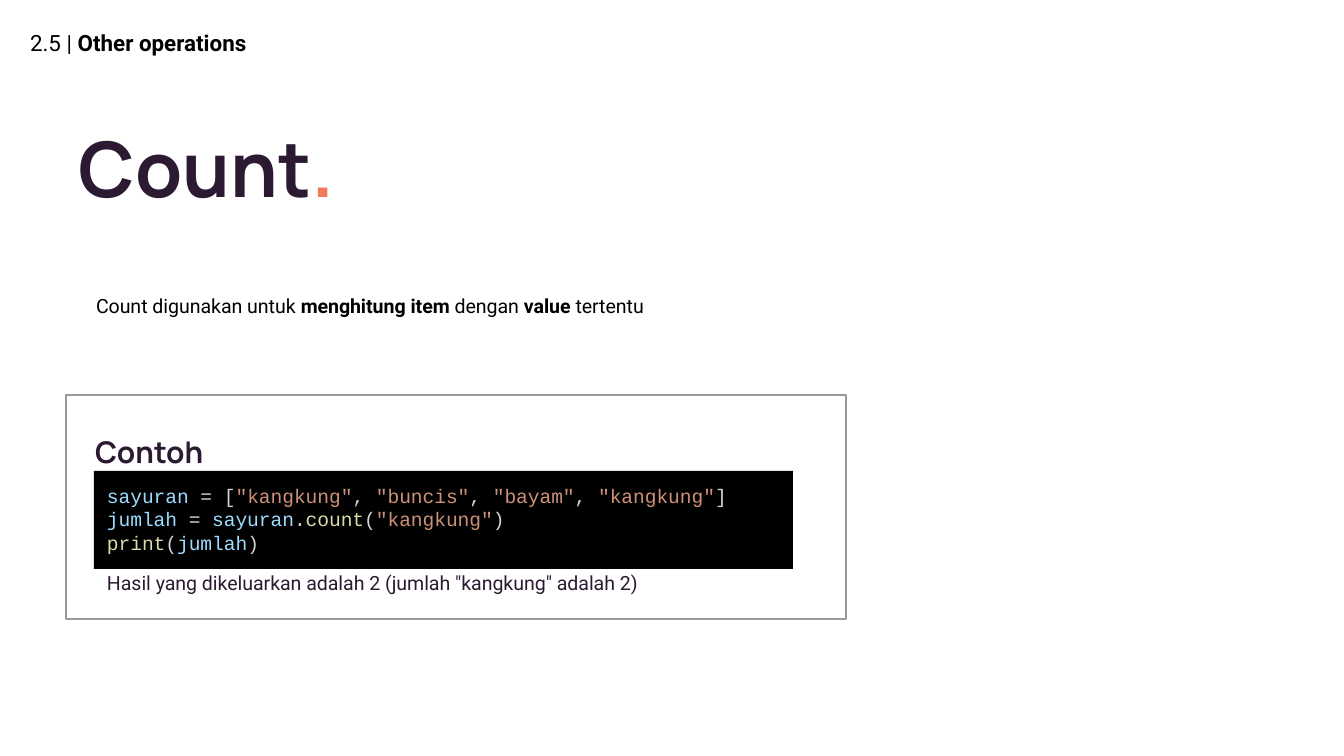
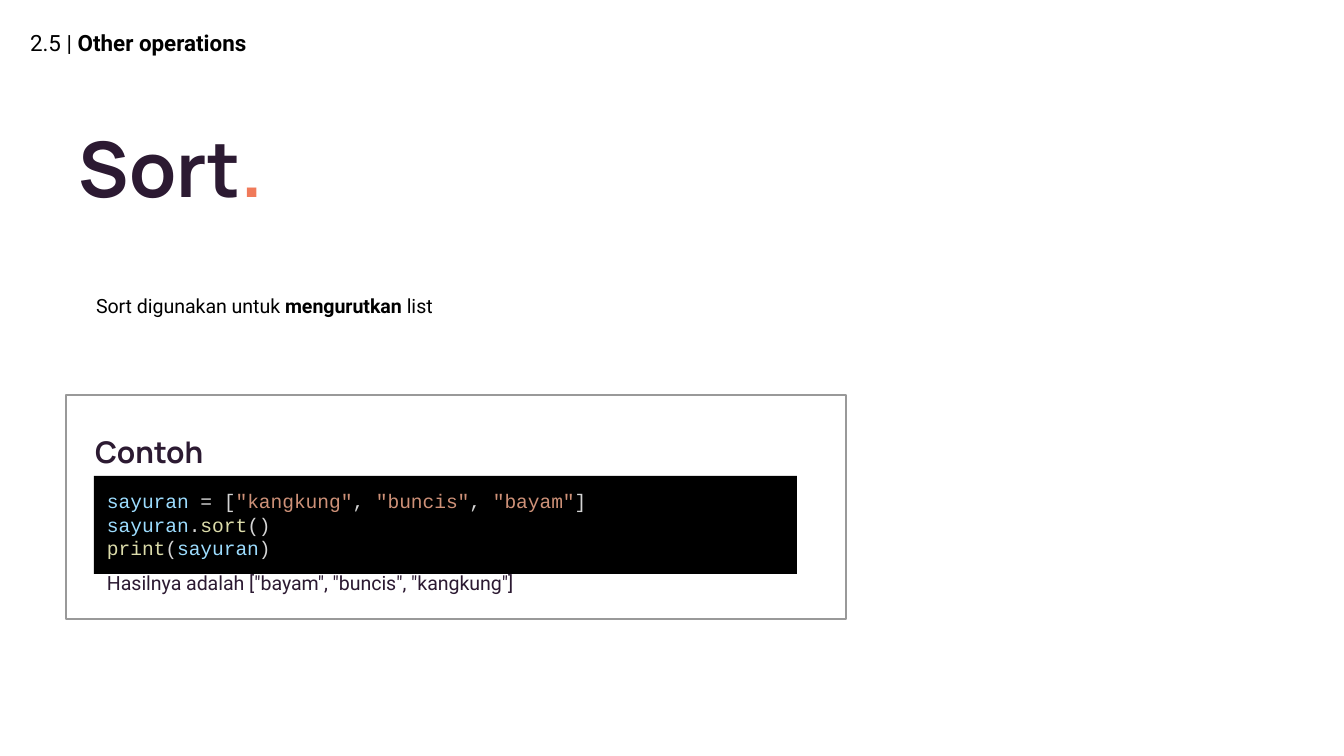
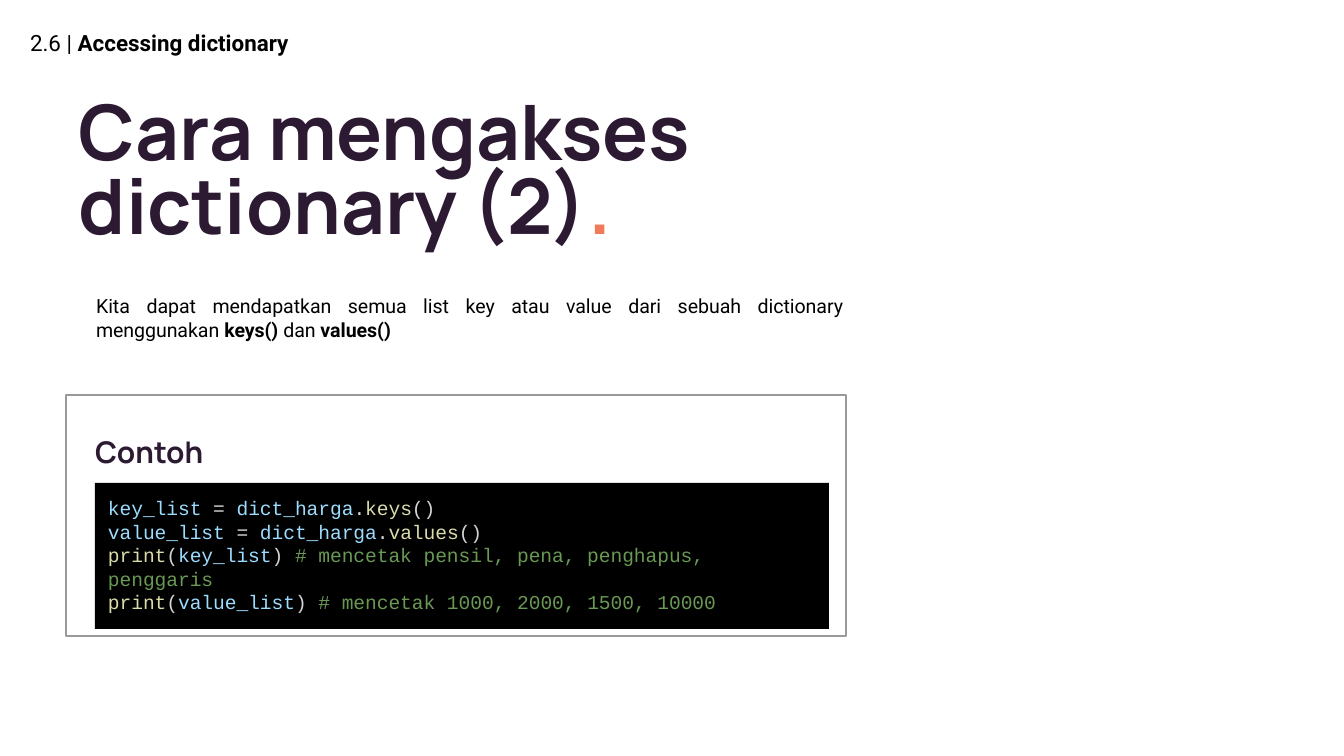
from itertools import groupby

from lxml import etree
from pptx import Presentation
from pptx.dml.color import RGBColor
from pptx.enum.shapes import MSO_SHAPE
from pptx.enum.text import MSO_ANCHOR, MSO_AUTO_SIZE, PP_ALIGN
from pptx.oxml.ns import qn
from pptx.util import Pt

RECT = MSO_SHAPE.RECTANGLE
TOP, MIDDLE = MSO_ANCHOR.TOP, MSO_ANCHOR.MIDDLE
FIXED, GROW = MSO_AUTO_SIZE.NONE, MSO_AUTO_SIZE.SHAPE_TO_FIT_TEXT
LEFT, JUSTIFY = PP_ALIGN.LEFT, PP_ALIGN.JUSTIFY

SCALE = 914400 / 134.4
INSET = 13
BLACK, PLUM, CORAL, GRAY = "000000", "2C1A32", "F07A5A", "999999"
NAME, CALL, STRING, SIGN, REMARK = "9CDCFE", "DCDCAA", "CE9178", "D4D4D4", "6A9955"
SANS, DISPLAY, MONO = "Roboto", "Manrope", "Courier New"

SLIDES = [
    {
        "section": "2.5 |** Other operations**",
        "title": "Count",
        "intro": "Count digunakan untuk **menghitung item** dengan **value** tertentu",
        "frame": 224,
        "code_box": (94, 471, 699, 98),
        "code": [
            'sayuran = ["kangkung", "buncis", "bayam", "kangkung"]',
            'jumlah = sayuran.count("kangkung")',
            "print(jumlah)",
        ],
        "result": 'Hasil yang dikeluarkan adalah 2 (jumlah "kangkung" adalah 2)',
    },
    {
        "section": "2.5 |** Other operations**",
        "title": "Sort",
        "intro": "Sort digunakan untuk **mengurutkan** list",
        "frame": 224,
        "code_box": (94, 476, 703, 98),
        "code": [
            'sayuran = ["kangkung", "buncis", "bayam"]',
            "sayuran.sort()",
            "print(sayuran)",
        ],
        "result": 'Hasilnya adalah ["bayam", "buncis", "kangkung"]',
    },
    {
        "section": "2.6 |** Accessing dictionary**",
        "title": "Cara mengakses dictionary (2)",
        "intro": "Kita dapat mendapatkan semua list key atau value dari sebuah "
                 "dictionary menggunakan **keys()** dan **values()**",
        "frame": 241,
        "code_box": (95, 483, 734, 146),
        "code": [
            "key_list = dict_harga.keys()",
            "value_list = dict_harga.values()",
            "print(key_list) # mencetak pensil, pena, penghapus, penggaris",
            "print(value_list) # mencetak 1000, 2000, 1500, 10000",
        ],
        "result": None,
    },
]


def px(n):
    return round(n * SCALE)


def rgb(code):
    return RGBColor.from_string(code)


def place(shape, box):
    shape.left, shape.top, shape.width, shape.height = map(px, box)


def setup(shape, anchor=TOP, size=FIXED):
    """Set the inner margins, wrapping and anchor; return the text frame."""
    frame = shape.text_frame
    frame.word_wrap = True
    frame.auto_size = size
    frame.vertical_anchor = anchor
    frame.margin_left = frame.margin_right = px(INSET)
    frame.margin_top = frame.margin_bottom = px(INSET)
    return frame


def style(para, font, size, color=None, bold=None, align=LEFT, spacing=None):
    para.alignment = align
    para.line_spacing = spacing
    para.font.name = font
    para.font.size = Pt(size)
    para.font.bold = bold
    if color:
        para.font.color.rgb = rgb(color)


def add_run(para, text, color=None, bold=None):
    run = para.add_run()
    run.text = text
    if color:
        run.font.color.rgb = rgb(color)
    if bold is not None:
        run.font.bold = bold


def add_rich(para, text):
    """Add runs, with the parts between double asterisks in bold."""
    for i, part in enumerate(text.split("**")):
        if part:
            add_run(para, part, bold=i % 2 == 1)


def add_label(slide, box, text, font, size, color, anchor=MIDDLE, fit=FIXED, **look):
    label = slide.shapes.add_textbox(*map(px, box))
    para = setup(label, anchor, fit).paragraphs[0]
    style(para, font, size, color, **look)
    add_rich(para, text)


def add_rect(slide, box, fill=None, line=None):
    rect = slide.shapes.add_shape(RECT, *map(px, box))
    rect.shadow.inherit = False
    if fill:
        rect.fill.solid()
        rect.fill.fore_color.rgb = rgb(fill)
    else:
        rect.fill.background()
    if line:
        rect.line.color.rgb = rgb(line)
        rect.line.width = Pt(0.75)
    else:
        rect.line.fill.background()
    return rect


def set_title(slide, text):
    title = slide.shapes.title
    place(title, (66, 70, 1021, 211))
    para = setup(title, MIDDLE).paragraphs[0]
    style(para, DISPLAY, 41, bold=True, spacing=0.8)
    add_run(para, text, PLUM)
    add_run(para, ".", CORAL)


def set_intro(slide, text):
    body = slide.placeholders[1]
    place(body, (83, 281, 774, 51))
    para = setup(body, size=GROW).paragraphs[0]
    props = para._p.get_or_add_pPr()
    props.set("marL", "0")
    props.set("indent", "0")
    etree.SubElement(props, qn("a:buNone"))
    para.space_before = Pt(0)
    style(para, SANS, 10.5, BLACK, align=JUSTIFY)
    add_rich(para, text)


def is_word(char):
    return char.isalnum() or char == "_"


def tokens(line):
    """Yield the text and colour of each part of a line of code."""
    code, mark, note = line.partition("#")
    for i, part in enumerate(code.split('"')):
        if i % 2:
            yield f'"{part}"', STRING
            continue
        groups = [(word, "".join(chars)) for word, chars in groupby(part, is_word)]
        ends = [text for _, text in groups[1:]] + [""]
        for (word, text), after in zip(groups, ends):
            call = CALL if after.startswith("(") else NAME
            yield text, call if word else SIGN
    if mark:
        yield mark + note, REMARK


def add_code(slide, box, lines):
    frame = setup(add_rect(slide, box, fill=BLACK), size=GROW)
    for i, line in enumerate(lines):
        para = frame.add_paragraph() if i else frame.paragraphs[0]
        style(para, MONO, 10.5)
        for text, color in tokens(line):
            add_run(para, text, color)


def add_slide(deck, data):
    slide = deck.slides.add_slide(deck.slide_layouts[1])
    add_label(slide, (17, 9, 613, 67), data["section"], SANS, 12, BLACK)
    set_title(slide, data["title"])
    set_intro(slide, data["intro"])
    add_rect(slide, (66, 395, 780, data["frame"]), line=GRAY)
    add_label(slide, (82, 418, 613, 73), "**Contoh**", DISPLAY, 16, PLUM, spacing=0.8)
    if data["result"]:
        add_label(slide, (94, 559, 671, 51), data["result"], SANS, 10.5, PLUM, TOP, GROW)
    add_code(slide, data["code_box"], data["code"])


def main():
    deck = Presentation()
    deck.slide_width, deck.slide_height = px(1344), px(756)
    for data in SLIDES:
        add_slide(deck, data)
    deck.save("out.pptx")


if __name__ == "__main__":
    main()
